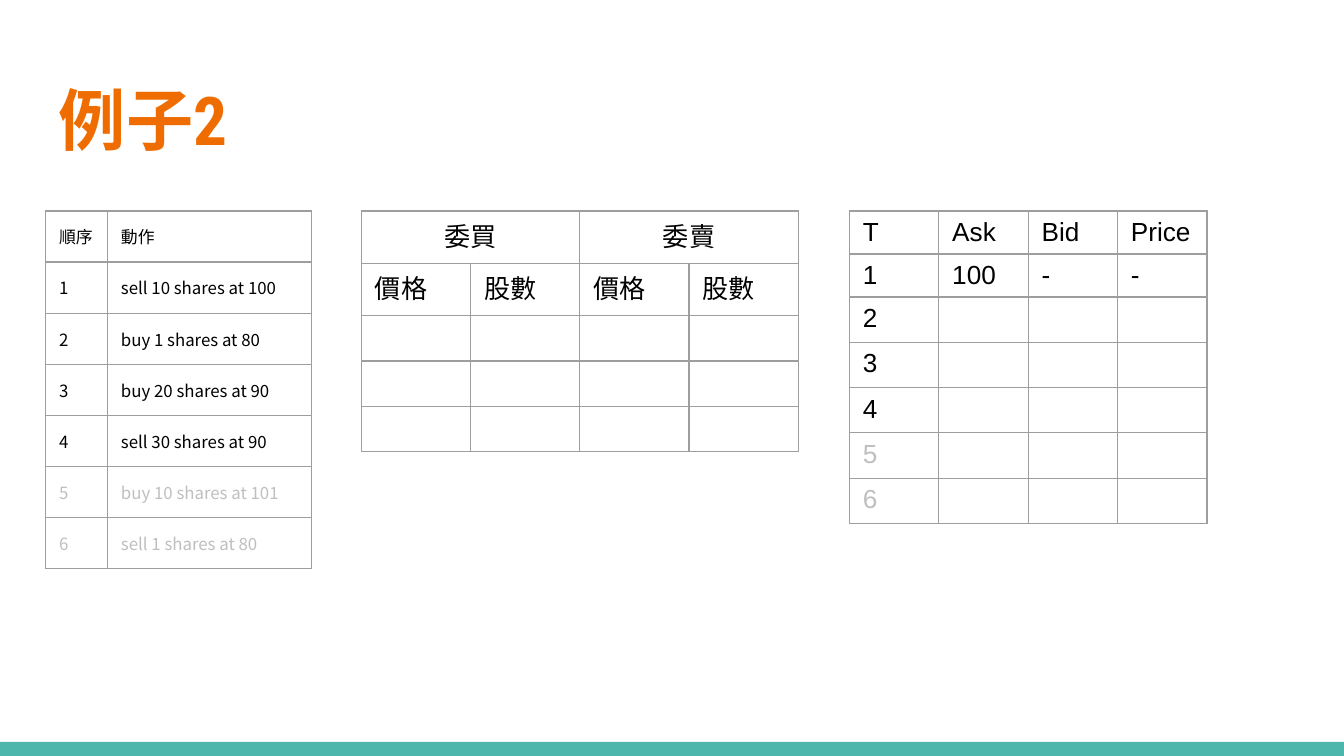
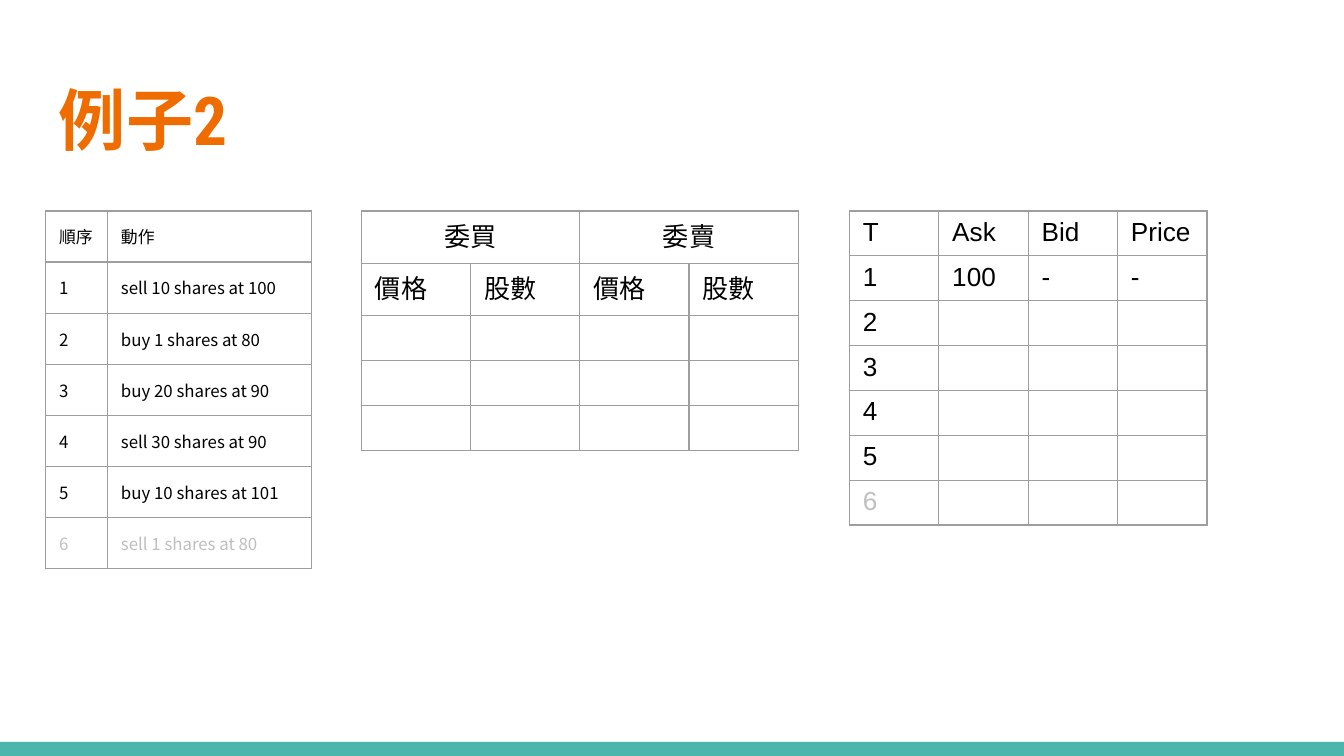
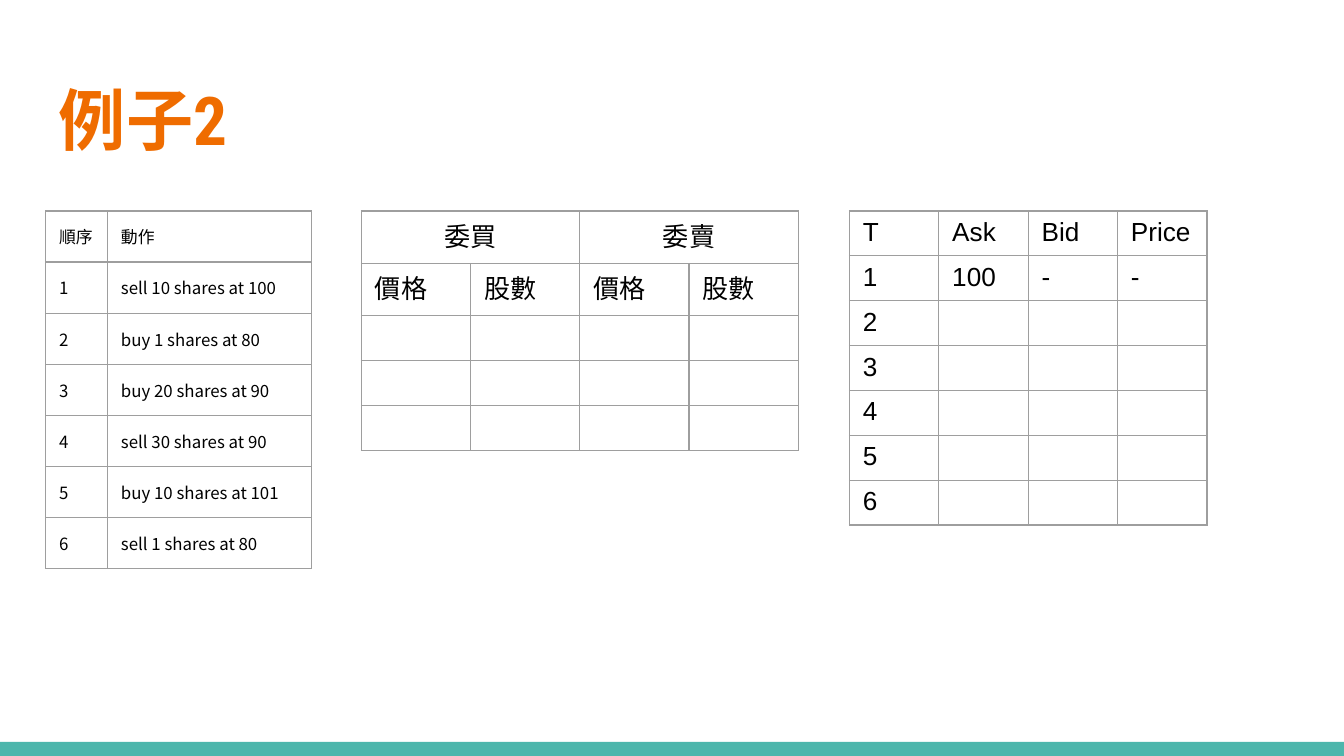
"""Build three slides that step through a stock order matching example."""
from lxml import etree
from pptx import Presentation
from pptx import util as u
from pptx.dml.color import RGBColor
from pptx.enum import shapes, text
from pptx.oxml.ns import qn

COLOURS = {"title": "EF6C00", "band": "4DB6AC", "border": "9E9E9E",
           "done": "000000", "pending": "BFBFBF"}
TITLE = "例子2"
ACTIONS = ["sell 10 shares at 100", "buy 1 shares at 80", "buy 20 shares at 90",
           "sell 30 shares at 90", "buy 10 shares at 101", "sell 1 shares at 80"]
ACTION_ROWS = [["順序", "動作"]] + [[str(n), action] for n, action in enumerate(ACTIONS, 1)]
PRICE_ROWS = [["T", "Ask", "Bid", "Price"], ["1", "100", "-", "-"]]
PRICE_ROWS += [[str(n), "", "", ""] for n in range(2, len(ACTIONS) + 1)]
BOOK_ROWS = [["委買", "", "委賣", ""], ["價格", "股數"] * 2] + [[""] * 4] * 3
STEPS = [{"shown": 4, "last_book_row": 0.33},
         {"shown": 5, "last_book_row": 0.33},
         {"shown": 6, "last_book_row": 0.32}]
TABLE_TOP = 1.57


def colour(name):
    return RGBColor.from_string(COLOURS[name])


def style_run(span, font, size, name, bold=False):
    span.font.name, span.font.size = font, u.Pt(size)
    span.font.bold = bold
    span.font.color.rgb = colour(name)
    east_asian = etree.SubElement(span.font._element, qn("a:ea"))
    east_asian.set("typeface", font)


def add_borders(cell):
    properties = cell._tc.get_or_add_tcPr()
    for side in ("lnL", "lnR", "lnT", "lnB"):
        line = etree.SubElement(properties, qn(f"a:{side}"), w=str(u.Pt(0.75)))
        fill = etree.SubElement(line, qn("a:solidFill"))
        etree.SubElement(fill, qn("a:srgbClr"), val=COLOURS["border"])


def fill_cell(cell, words, font, size, name):
    para = cell.text_frame.paragraphs[0]
    if words:
        para.text = words
        style_run(para.runs[0], font, size, name)
    else:
        etree.SubElement(para._p, qn("a:endParaRPr"), sz=str(size * 100))
    add_borders(cell)
    cell.fill.background()


def add_grid(slide, left, rows, widths, heights, font, size, shown):
    frame = slide.shapes.add_table(len(rows), len(widths), u.Inches(left), u.Inches(TABLE_TOP),
                                   u.Inches(sum(widths)), u.Inches(sum(heights)))
    table = frame.table
    table.first_row = table.horz_banding = False
    for column, width in zip(table.columns, widths):
        column.width = u.Inches(width)
    for index, (row, row_height) in enumerate(zip(rows, heights)):
        table.rows[index].height = u.Inches(row_height)
        name = "done" if index <= shown else "pending"
        for cell, words in zip(table.rows[index].cells, row):
            fill_cell(cell, words, font, size, name)
    return table


def add_price_table(slide, shown):
    add_grid(slide, 6.32, PRICE_ROWS, [2.66 / 4] * 4, [0.32] * 7, "Arial", 14, shown)


def add_order_book(slide, last_row):
    heights = [0.39] * 2 + [0.33] * 2 + [last_row]
    table = add_grid(slide, 2.69, BOOK_ROWS, [3.25 / 4] * 4, heights,
                     "Arial", 14, len(BOOK_ROWS))
    for column in (0, 2):
        heading = table.cell(0, column)
        heading.merge(table.cell(0, column + 1))
        heading.text_frame.paragraphs[0].alignment = text.PP_ALIGN.CENTER
    for row in (0, 1):
        for cell in table.rows[row].cells:
            cell.vertical_anchor = text.MSO_ANCHOR.MIDDLE


def add_action_table(slide, shown):
    table = add_grid(slide, 0.34, ACTION_ROWS, [0.46, 1.52], [0.38] * 7,
                     "Noto Sans CJK TC", 9, shown)
    for cell in table.iter_cells():
        cell.margin_left = cell.margin_right = u.Inches(0.1)
        cell.margin_top = cell.margin_bottom = u.Inches(0.1)
    for cell in table.rows[0].cells:
        cell.vertical_anchor = text.MSO_ANCHOR.MIDDLE


def add_band(slide):
    band = slide.shapes.add_shape(shapes.MSO_SHAPE.RECTANGLE, 0, u.Inches(5.52),
                                  u.Inches(10), u.Inches(0.11))
    band.shadow.inherit = False
    band.fill.solid()
    band.fill.fore_color.rgb = colour("band")
    band.line.fill.background()


def add_title(slide):
    box = slide.shapes.add_textbox(u.Inches(0.34), u.Inches(0.5), u.Inches(9.32), u.Inches(0.77))
    frame = box.text_frame
    frame.word_wrap = True
    frame.vertical_anchor = text.MSO_ANCHOR.MIDDLE
    frame.margin_left = frame.margin_right = u.Inches(0.1)
    frame.margin_top = frame.margin_bottom = u.Inches(0.1)
    frame.text = TITLE
    style_run(frame.paragraphs[0].runs[0], "Roboto Condensed", 36, "title", bold=True)


def main():
    deck = Presentation()
    deck.slide_width = u.Inches(10)
    deck.slide_height = deck.slide_width * 9 // 16
    for step in STEPS:
        slide = deck.slides.add_slide(deck.slide_layouts[6])
        add_band(slide)
        add_price_table(slide, step["shown"])
        add_order_book(slide, step["last_book_row"])
        add_title(slide)
        add_action_table(slide, step["shown"])
    deck.save("out.pptx")


if __name__ == "__main__":
    main()
